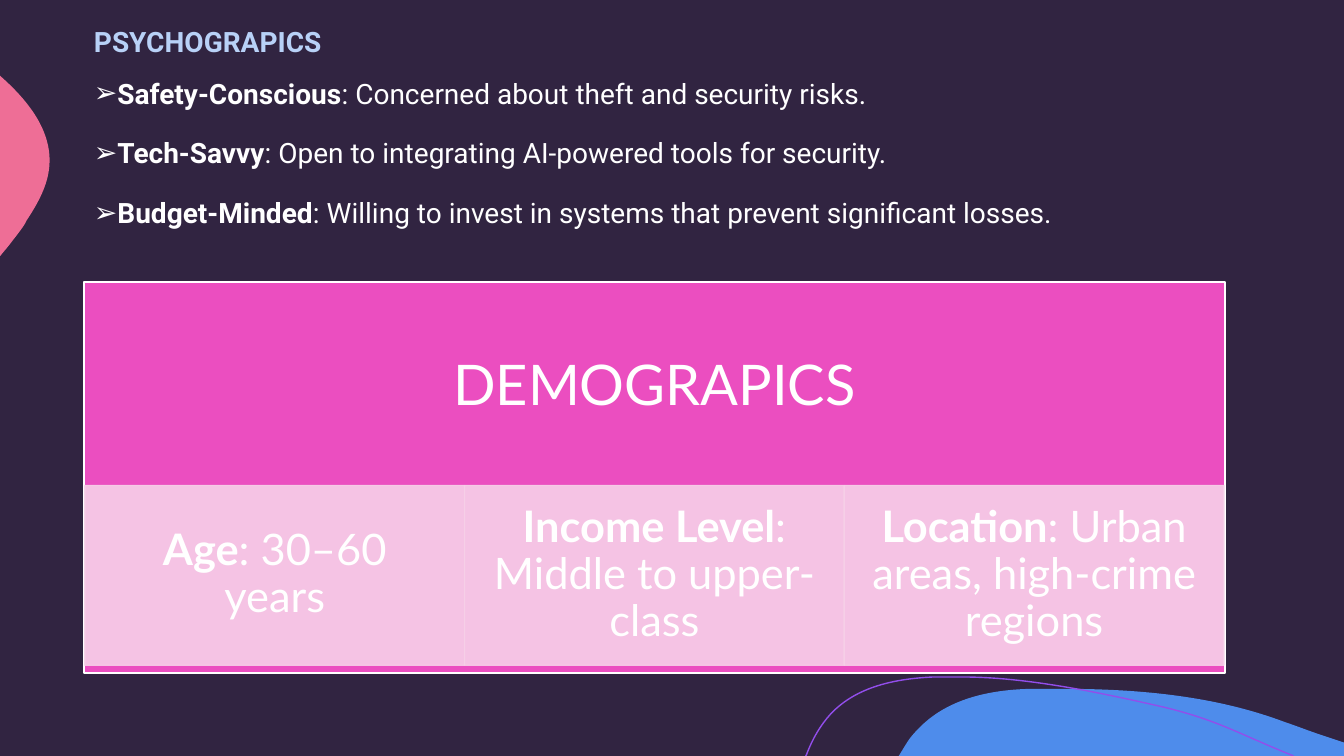
from dataclasses import dataclass
from typing import NamedTuple

from lxml.etree import SubElement
from pptx import Presentation
from pptx.dml.color import RGBColor as Color
from pptx.enum.shapes import MSO_SHAPE as Preset
from pptx.enum.text import MSO_ANCHOR as Anchor, PP_ALIGN as Align
from pptx.oxml.ns import qn
from pptx.util import Inches, Pt


# Theme: colours, fonts and type sizes
@dataclass(frozen=True)
class Theme:
    night: str = "312441"
    blue: str = "4E8CEB"
    coral: str = "EE6E96"
    violet: str = "924EEB"
    sky: str = "B8D1F7"
    pink: str = "EB4EC0"
    blush: str = "F7D0E8"
    white: str = "FFFFFF"
    body_font: str = "Roboto"
    card_font: str = "Lato"
    body_size: float = 20
    header_size: float = 40
    card_size: float = 31


THEME = Theme()

# Grid: 16 columns by 9 rows of square cells
COLUMNS, ROWS = 16, 9
CELL = Inches(7.5) / ROWS


class Area(NamedTuple):
    column: float
    row: float
    columns: float
    rows: float

    def lengths(self) -> list[int]:
        return [grid(value) for value in self]


@dataclass(frozen=True)
class Wave:
    """An outline: two numbers make a line, six make a Bezier curve."""
    start: tuple
    steps: tuple
    fill: str | None = None
    line: str | None = None


@dataclass(frozen=True)
class Fact:
    label: str
    detail: str


WAVES = (
    Wave((12.65, 8.2), (
        (13.54, 8.2, 14.45, 8.28, 15.28, 8.59),
        (15.43, 8.64, 15.58, 8.7, 15.73, 8.75),
        (16, 8.84), (16, 9), (10.7, 9), (10.78, 8.87),
        (10.82, 8.8, 10.87, 8.74, 10.93, 8.68),
        (11.27, 8.32, 11.78, 8.21, 12.28, 8.2),
        (12.4, 8.2, 12.52, 8.2, 12.65, 8.2)), fill=THEME.blue),
    Wave((0, 0.9), (
        (0.01, 0.91),
        (0.36, 1.22, 0.65, 1.6, 0.58, 2.04),
        (0.55, 2.24, 0.44, 2.44, 0.32, 2.62),
        (0.29, 2.69, 0.2, 2.8, 0.1, 2.93),
        (0, 3.05)), fill=THEME.coral),
    Wave((9.59, 9), (
        (9.6, 8.99),
        (9.67, 8.8, 9.77, 8.63, 9.89, 8.5),
        (10.2, 8.17, 10.67, 8.08, 11.11, 8.06),
        (11.46, 8.06),
        (12.26, 8.06, 13.2, 8.27, 13.86, 8.42),
        (14.51, 8.58, 14.71, 8.72, 15.4, 9)), line=THEME.violet),
)
PSYCHOGRAPHICS = (
    Fact("Safety-Conscious", ": Concerned about theft and security risks."),
    Fact("Tech-Savvy", ": Open to integrating AI-powered tools for security."),
    Fact("Budget-Minded", ": Willing to invest in systems that prevent significant losses."),
)
DEMOGRAPHICS = (
    Fact("Age", ": 30–60 years"),
    Fact("Income Level", ": Middle to upper-class"),
    Fact("Location", ": Urban areas, high-crime regions"),
)
TRAITS = Area(1, 0.34, 14, 2.65)
PANEL = Area(1, 3.36, 13.58, 4.65)
HEADER = PANEL._replace(rows=2.51)
FIRST_CARD = Area(1.01, 5.78, 4.52, 2.14)


def grid(cells: float) -> int:
    return round(cells * CELL)


def paint(shape, fill: str | None, line: str | None, width: float = 1, opacity: int = 100) -> None:
    shape.shadow.inherit = False
    for part, color in ((shape.fill, fill), (shape.line.fill, line)):
        if color is None:
            part.background()
            continue
        part.solid()
        part.fore_color.rgb = Color.from_string(color)
    if line:
        shape.line.width = Pt(width)
    if opacity < 100:
        for tint in shape._element.spPr.iter(qn("a:srgbClr")):
            SubElement(tint, qn("a:alpha"), val=str(opacity * 1000))


def add_wave(page, wave: Wave) -> None:
    builder = page.shapes.build_freeform(*map(grid, wave.start))
    builder.add_line_segments([tuple(map(grid, step[-2:])) for step in wave.steps],
                              close=wave.fill is not None)
    shape = builder.convert_to_shape()
    paint(shape, wave.fill, wave.line)
    # Bend the segments that have control points
    for edge, step in zip(list(shape._element.iter(qn("a:lnTo"))), wave.steps):
        if len(step) == 2:
            continue
        end = edge[0]
        edge.tag = qn("a:cubicBezTo")
        for x, y in (step[:2], step[2:4]):
            SubElement(edge, qn("a:pt"), x=str(grid(x) - shape.left), y=str(grid(y) - shape.top))
        edge.append(end)


def add_block(page, area: Area, fill: str, line: str, **look):
    block = page.shapes.add_shape(Preset.RECTANGLE, *area.lengths())
    paint(block, fill, line, **look)
    return block


def set_frame(box, anchor, side: float, edge: float):
    frame = box.text_frame
    frame.word_wrap = True
    frame.vertical_anchor = anchor
    frame.margin_left = frame.margin_right = Inches(side)
    frame.margin_top = frame.margin_bottom = Inches(edge)
    return frame


def write(para, text: str, *, label: str = "", font: str, size: float, color: str = THEME.white,
          bold: bool = False, align=Align.LEFT, before: float = 0, bullet: str = "") -> None:
    if bullet:
        properties = para._p.get_or_add_pPr()
        properties.set("marL", "0")
        properties.set("indent", "0")
        SubElement(properties, qn("a:buFont"), typeface=font)
        SubElement(properties, qn("a:buChar"), char=bullet)
    para.alignment = align
    para.line_spacing = 0.9
    if before:
        para.space_before = Pt(before)
    for words, heavy in ((label, True), (text, bold)):
        if not words:
            continue
        span = para.add_run()
        span.text = words
        span.font.name = font
        span.font.size = Pt(size)
        span.font.bold = heavy
        span.font.color.rgb = Color.from_string(color)


def main() -> None:
    deck = Presentation()
    deck.slide_width, deck.slide_height = grid(COLUMNS), grid(ROWS)
    page = deck.slides.add_slide(deck.slide_layouts[6])

    # Background and waves
    page.background.fill.solid()
    page.background.fill.fore_color.rgb = Color.from_string(THEME.night)
    for wave in WAVES:
        add_wave(page, wave)

    # Psychographic traits
    body = {"font": THEME.body_font, "size": THEME.body_size}
    frame = set_frame(page.shapes.add_textbox(*TRAITS.lengths()), Anchor.TOP, 0.1, 0)
    write(frame.paragraphs[0], "PSYCHOGRAPICS", color=THEME.sky, bold=True, **body)
    for index, fact in enumerate(PSYCHOGRAPHICS):
        write(frame.add_paragraph(), fact.detail, label=fact.label, bullet="➢",
              before=21.2 if index else 15, **body)

    # Demographic panel and its header
    add_block(page, PANEL, THEME.pink, THEME.white, width=1.5)
    frame = set_frame(page.shapes.add_textbox(*HEADER.lengths()), Anchor.MIDDLE, 0.31, 0.31)
    write(frame.paragraphs[0], "DEMOGRAPICS", font=THEME.card_font,
          size=THEME.header_size, align=Align.CENTER)

    # Demographic cards
    for index, fact in enumerate(DEMOGRAPHICS):
        area = FIRST_CARD._replace(column=FIRST_CARD.column + index * FIRST_CARD.columns)
        card = add_block(page, area, THEME.blush, THEME.blush, opacity=90)
        frame = set_frame(card, Anchor.MIDDLE, 0.24, 0.04)
        write(frame.paragraphs[0], fact.detail, label=fact.label, font=THEME.card_font,
              size=THEME.card_size, align=Align.CENTER)

    deck.save("out.pptx")


if __name__ == "__main__":
    main()
